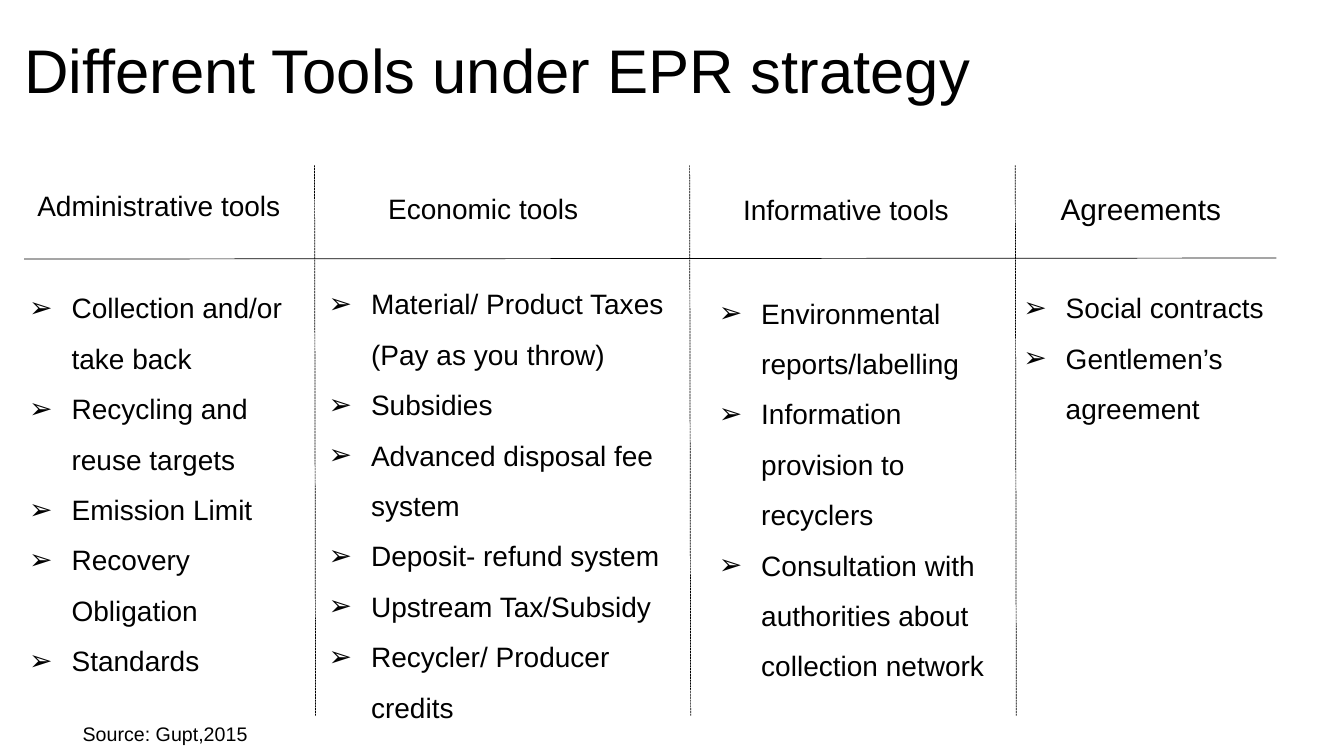
"""Build the slide on the tools of an EPR strategy."""
from pptx import Presentation
from pptx.dml.color import RGBColor as RGB
from pptx.enum.dml import MSO_LINE as Dash
from pptx.enum.shapes import MSO_CONNECTOR as Link
from pptx.enum.text import MSO_AUTO_SIZE as Fit
from pptx.oxml.ns import qn
from pptx.util import Inches, Pt
from lxml.etree import SubElement as Sub

COLORS = {"ink": "000000", "page": "FFFFFF"}

TOOLS = [
    (("Administrative tools", 0.37, 1.82, 20), (0.29, 2.72, 2.76, 4.39),
     ["Collection and/or take back", "Recycling and reuse targets",
      "Emission Limit", "Recovery Obligation", "Standards"]),
    (("Economic tools", 3.85, 1.85, 20), (3.26, 2.68, 3.59, 5.28),
     ["Material/ Product Taxes (Pay as you throw)", "Subsidies",
      "Advanced disposal fee system", "Deposit- refund system",
      "Upstream Tax/Subsidy", "Recycler/ Producer credits"]),
    (("Informative tools", 7.37, 1.86, 20), (7.13, 2.77, 2.75, 3.98),
     ["Environmental reports/labelling", "Information provision to recyclers",
      "Consultation with authorities about collection network"]),
    (("Agreements", 10.52, 1.84, 21.3), (10.15, 2.72, 2.98, 1.85),
     ["Social contracts", "Gentlemen’s agreement"]),
]


class Deck:
    """Hold the style and the current slide."""

    face = "Arial"
    mark = "➢"
    indent = Inches(0.42)

    def __init__(self):
        self.show = Presentation()
        self.show.slide_width = Inches(13.33)
        self.show.slide_height = Inches(7.5)
        self.slide = self.show.slides.add_slide(self.show.slide_layouts[6])
        fill = self.slide.background.fill
        fill.solid()
        fill.fore_color.rgb = RGB.from_string(COLORS["page"])

    def text(self, lines, area, size=20, space=1.14, listed=False):
        box = self.slide.shapes.add_textbox(*map(Inches, area))
        frame = box.text_frame
        frame.word_wrap = True
        frame.auto_size = Fit.NONE
        frame.margin_left = frame.margin_right = 0
        frame.margin_top = frame.margin_bottom = 0
        frame.text = "\n".join(lines)
        for para in frame.paragraphs:
            para.line_spacing = space
            if listed:
                self.bullet(para)
            font = para.font
            font.name, font.size = self.face, Pt(size)
            font.color.rgb = RGB.from_string(COLORS["ink"])

    def bullet(self, para):
        props = para._p.get_or_add_pPr()
        props.set("marL", str(self.indent))
        props.set("indent", str(-self.indent))
        Sub(props, qn("a:buFont"), typeface=self.face)
        Sub(props, qn("a:buChar"), char=self.mark)

    def rule(self, start, end, dash=None):
        ends = map(Inches, start + end)
        line = self.slide.shapes.add_connector(Link.STRAIGHT, *ends)
        line.line.width = Pt(0.5)
        line.line.color.rgb = RGB.from_string(COLORS["ink"])
        if dash:
            line.line.dash_style = dash
        Sub(line._element.spPr, qn("a:effectLst"))

    def save(self):
        self.show.save("out.pptx")


def main():
    deck = Deck()
    deck.text(["Different Tools under EPR strategy"],
              (0.24, 0.46, 12.85, 0.6), 44, Pt(42.7))
    deck.rule((0.24, 2.57), (12.66, 2.56))
    for left in (3.12, 6.84, 10.07):
        deck.rule((left, 1.64), (left + 0.01, 7.1), Dash.SQUARE_DOT)
    for (name, left, top, size), area, items in TOOLS:
        deck.text([name], (left, top, 2.6, 0.35), size)
        deck.text(items, area, space=1.5, listed=True)
    deck.text(["Source: Gupt,2015"], (0.82, 7.13, 2.6, 0.25), 14)
    deck.save()


if __name__ == "__main__":
    main()
